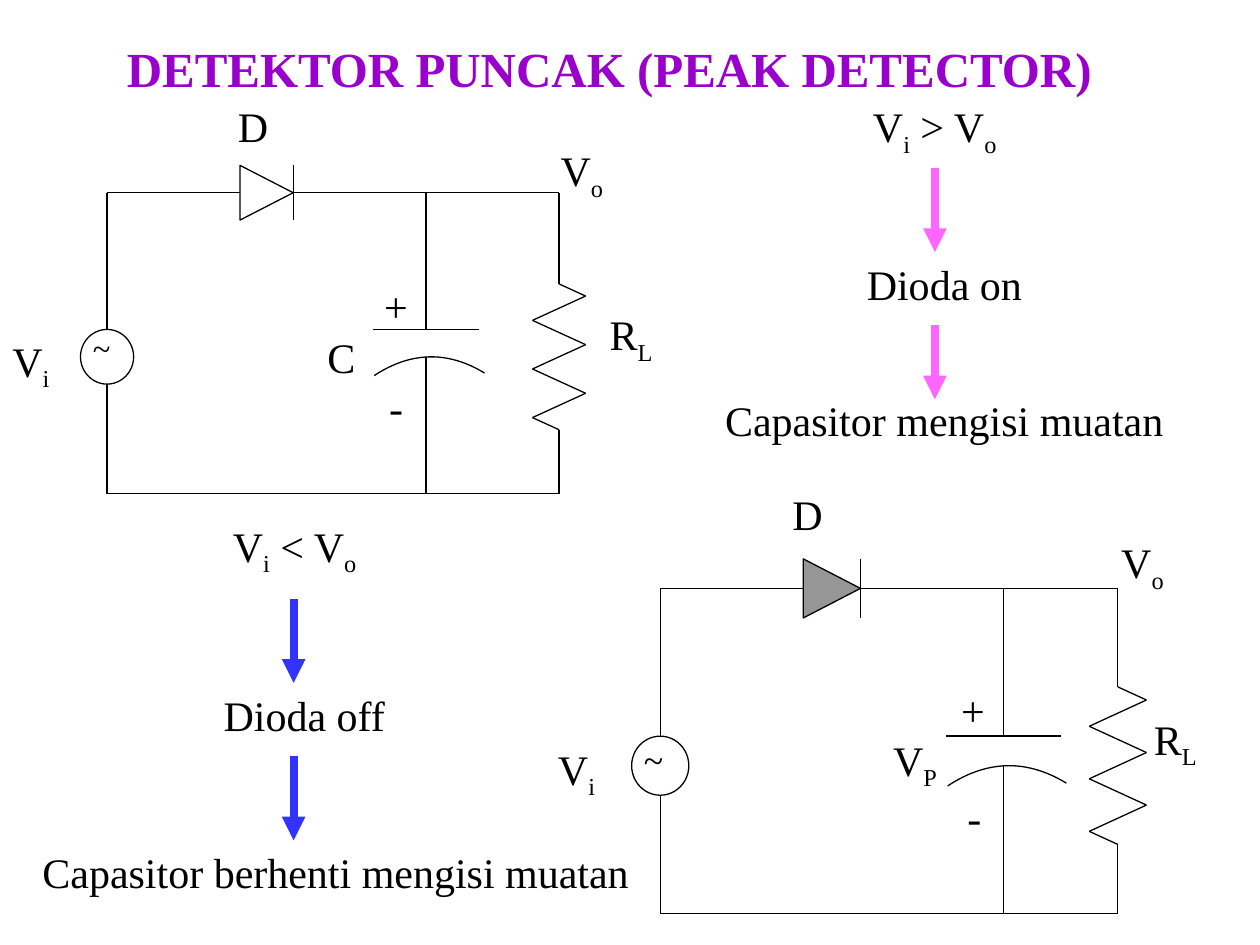
import itertools

import lxml.etree
import pptx
import pptx.dml.color
import pptx.enum.shapes
import pptx.enum.text
import pptx.oxml.ns
import pptx.util

Inches = pptx.util.Inches
Align = pptx.enum.text.PP_ALIGN
Shape = pptx.enum.shapes.MSO_SHAPE

COLORS = {
    "ink": "000000",
    "title": "9900CC",
    "charging": "FF66FF",
    "holding": "3333FF",
    "source": "FFFFFF",
    "blocked": "969696",
}
FRAME = {
    "word_wrap": True,
    "margin_left": Inches(0.1),
    "margin_right": Inches(0.1),
    "margin_top": Inches(0.05),
    "margin_bottom": Inches(0.05),
}
ZIGZAG = [0, 4, 12, 20, 28, 36, 44, 48]
SWING = [0, 1, -1, 1, -1, 1, -1, 0]


class Sketch:
    """Draws the elements of the slide in one shared style."""

    def __init__(self, slide):
        self.slide = slide
        self.font = {"name": "Times New Roman", "size": pptx.util.Pt(24), "bold": False}

    def color(self, name):
        return pptx.dml.color.RGBColor.from_string(COLORS[name])

    def fill_frame(self, frame, rows, align=Align.LEFT, spacing=None, color="ink",
                   anchor=pptx.enum.text.MSO_ANCHOR.TOP, **font):
        for key, value in {**FRAME, "vertical_anchor": anchor}.items():
            setattr(frame, key, value)
        for index, (text, indent) in enumerate(rows):
            paragraph = frame.add_paragraph() if index else frame.paragraphs[0]
            paragraph.alignment = align
            if spacing:
                paragraph.line_spacing = spacing
            if indent:
                properties = paragraph._p.get_or_add_pPr()
                properties.set("marL", str(Inches(indent)))
                properties.set("indent", "0")
            base, *marked = text.split("_")
            pieces = [(base, False)]
            for part in marked:
                pieces += [(part[0], True), (part[1:], False)]
            for piece, subscript in pieces:
                if not piece:
                    continue
                run = paragraph.add_run()
                run.text = piece
                for key, value in {**self.font, **font}.items():
                    setattr(run.font, key, value)
                run.font.color.rgb = self.color(color)
                if subscript:
                    run._r.get_or_add_rPr().set("baseline", "-25000")

    def title(self, text, box):
        holder = self.slide.shapes.title
        for key, value in zip(("left", "top", "width", "height"), box):
            setattr(holder, key, Inches(value))
        self.fill_frame(holder.text_frame, [(text, 0)], align=Align.CENTER, color="title",
                        anchor=pptx.enum.text.MSO_ANCHOR.MIDDLE,
                        size=pptx.util.Pt(28), bold=True)

    def text(self, rows, box, **style):
        label = self.slide.shapes.add_textbox(*map(Inches, box))
        self.fill_frame(label.text_frame, rows, **style)

    def line(self, start, end, color="ink", width=0.75, arrow=False):
        wire = self.slide.shapes.add_connector(
            pptx.enum.shapes.MSO_CONNECTOR.STRAIGHT, *map(Inches, (*start, *end)))
        wire.line.color.rgb = self.color(color)
        wire.line.width = pptx.util.Pt(width)
        if arrow:
            lxml.etree.SubElement(wire.line._get_or_add_ln(),
                                  pptx.oxml.ns.qn("a:tailEnd"), type="triangle")
        lxml.etree.SubElement(wire._element.spPr, pptx.oxml.ns.qn("a:effectLst"))

    def outline(self, part, fill=None):
        part.shadow.inherit = False
        part.line.color.rgb = self.color("ink")
        part.line.width = pptx.util.Pt(0.75)
        if fill:
            part.fill.solid()
            part.fill.fore_color.rgb = self.color(fill)
        else:
            part.fill.background()

    def shape(self, kind, center, size, fill=None, rotation=0):
        corner = [middle - length / 2 for middle, length in zip(center, size)]
        part = self.slide.shapes.add_shape(kind, *map(Inches, (*corner, *size)))
        part.rotation = rotation
        self.outline(part, fill)

    def curve(self, points):
        start, *rest = [tuple(map(Inches, point)) for point in points]
        builder = self.slide.shapes.build_freeform(*start)
        builder.add_line_segments(rest, close=False)
        self.outline(builder.convert_to_shape())

    def circuit(self, origin, unit, load, diode_fill, tilde):
        def place(column, row):
            return origin[0] + column * unit[0], origin[1] + row * unit[1]

        resistor = [(load + side, 10 / 3 + step / 9) for side, step in zip(SWING, ZIGZAG)]
        routes = [
            [(5, 0), (0, 0), (0, 5)],
            [(0, 7), (0, 11), (load, 11)],
            [(7, -1), (7, 1)],
            [(12, 0), (12, 5)],
            [(10, 5), (14, 5)],
            [(12, 6), (12, 11)],
            [(7, 0), (load, 0), *resistor, (load, 11)],
        ]
        for route in routes:
            for start, end in itertools.pairwise(route):
                self.line(place(*start), place(*end))
        width, height = 2 * unit[0], 2 * unit[1]
        self.shape(Shape.ISOSCELES_TRIANGLE, place(6, 0), (height, width), diode_fill, 90)
        self.shape(Shape.OVAL, place(0, 6), (width, height), "source")
        bends = [-2.15 + 4.15 * step / 24 for step in range(25)]
        self.curve([place(12.2 + bend, 6 + 0.148 * bend ** 2) for bend in bends])
        size, spacing = tilde
        self.text([("~", 0)], (*place(-1, 5), 3 * unit[0], height),
                  size=pptx.util.Pt(size), spacing=spacing)

    def flow(self, steps, arrows, color):
        for text, box, align in steps:
            self.text([(text, 0)], box, align=align)
        for start, end in arrows:
            self.line(start, end, color, 4.5, True)


def main():
    deck = pptx.Presentation()
    deck.slide_width, deck.slide_height = Inches(10), Inches(7.5)
    sketch = Sketch(deck.slides.add_slide(deck.slide_layouts[5]))
    sketch.title("DETEKTOR PUNCAK (PEAK DETECTOR)", (0.75, 0.25, 8.17, 0.58))

    sketch.circuit((0.85, 1.53), (0.211, 0.217), 17, None, (18.6, 0.8))
    sketch.circuit((5.24, 4.67), (0.227, 0.2345), 16, "blocked", (20.4, 0.9))
    labels = [
        ("D", 1.79, 0.75), ("V_o", 4.35, 1.1), ("R_L", 4.74, 2.4), ("V_i", 0, 2.61),
        ("D", 6.19, 3.83), ("V_o", 8.8, 4.21), ("R_L", 9.06, 5.61), ("V_i", 4.33, 5.85),
    ]
    for text, left, top in labels:
        sketch.text([(text, 0)], (left, top, 0.85, 0.65))
    sketch.text([("+", 0.62), ("C", 0.17), ("-", 0.66)], (2.33, 2.18, 1.06, 1.3))
    sketch.text([("+", 0.7), ("V_P", 0.16), ("-", 0.75)], (6.83, 5.38, 1.13, 1.4))

    sketch.flow(
        [("V_i > V_o", (6.83, 0.75, 1.25, 0.56), Align.LEFT),
         ("Dioda on", (6.33, 2, 2.33, 0.5), Align.CENTER),
         ("Capasitor mengisi muatan", (5.33, 3.08, 4.33, 0.5), Align.CENTER)],
        [((7.42, 1.33), (7.42, 2)), ((7.42, 2.58), (7.42, 3.17))], "charging")
    sketch.flow(
        [("V_i < V_o", (1.75, 4.08, 1.25, 0.56), Align.LEFT),
         ("Dioda off", (1.25, 5.42, 2.33, 0.5), Align.CENTER),
         ("Capasitor berhenti mengisi muatan", (0, 6.67, 5.33, 0.5), Align.CENTER)],
        [((2.33, 4.75), (2.33, 5.42)), ((2.33, 6), (2.33, 6.67))], "holding")
    deck.save("out.pptx")


if __name__ == "__main__":
    main()
